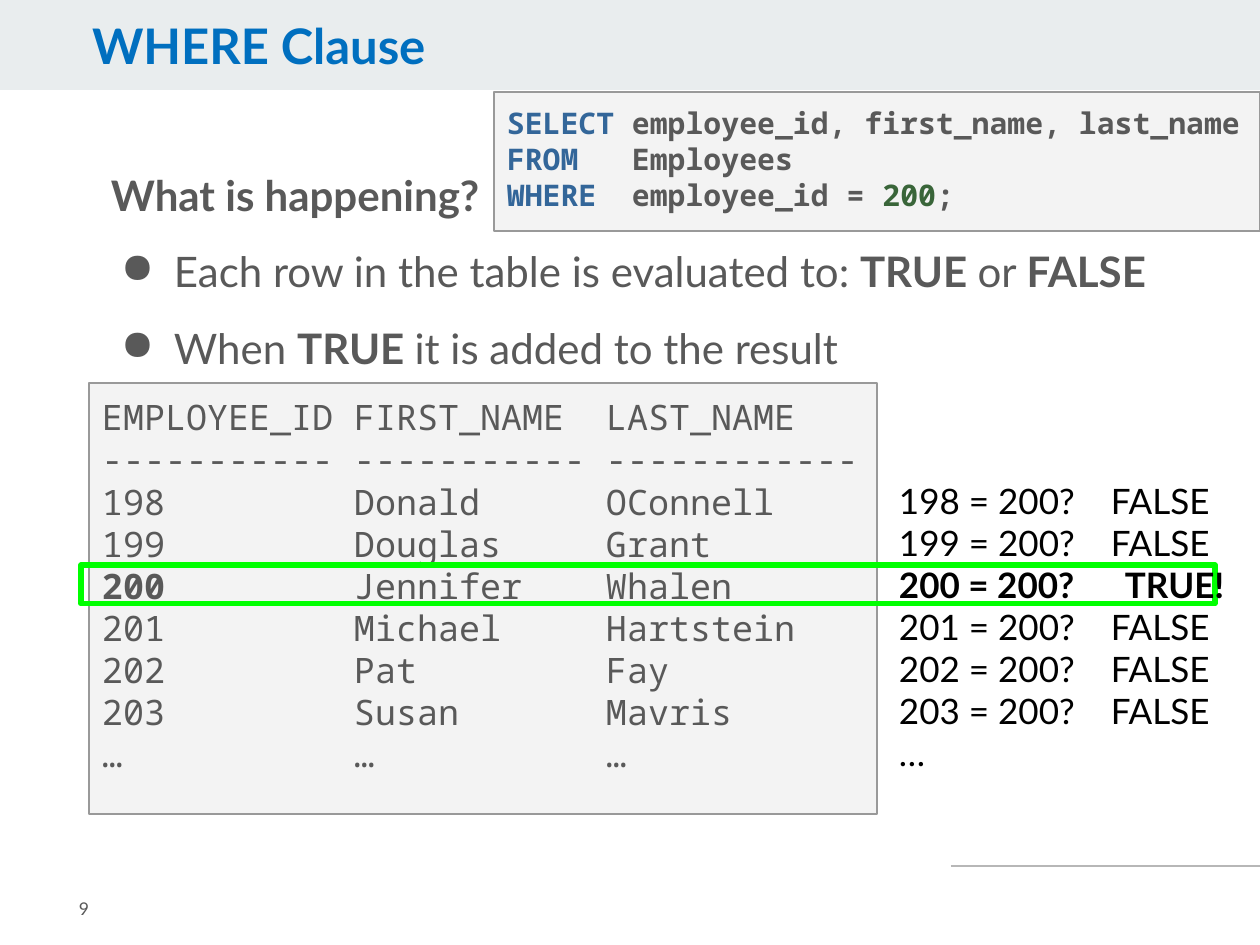
"""Build the WHERE Clause slide."""
from lxml.etree import SubElement
from pptx import Presentation
from pptx.dml.color import RGBColor
from pptx.enum.shapes import MSO_CONNECTOR, MSO_SHAPE
from pptx.enum.text import MSO_ANCHOR, PP_ALIGN
from pptx.oxml.ns import qn
from pptx.util import Inches, Pt

PX = 7257
COLORS = {
    "band": "E9EDEE", "title": "006FBF", "text": "595959", "panel": "F3F3F3",
    "border": "999999", "rule": "B7B7B7", "match": "00FF00", "black": "000000",
    "keyword": "336699", "number": "396539",
}
SANS, MONO = "Lato", "Noto Sans Mono"


def add_box(left, top, width, height, fill=None, line=None, weight=0.75, inset=13):
    box = page.shapes.add_shape(
        MSO_SHAPE.RECTANGLE, left * PX, top * PX, width * PX, height * PX)
    box.shadow.inherit = False
    if fill:
        box.fill.solid()
        box.fill.fore_color.rgb = RGBColor.from_string(COLORS[fill])
    else:
        box.fill.background()
    if line:
        box.line.color.rgb = RGBColor.from_string(COLORS[line])
        box.line.width = Pt(weight)
    else:
        box.line.fill.background()
    frame = box.text_frame
    frame.word_wrap = True
    frame.vertical_anchor = MSO_ANCHOR.TOP
    frame.margin_left = frame.margin_right = 13 * PX
    frame.margin_top = frame.margin_bottom = inset * PX
    return frame


def add_line(frame, *parts, font=SANS, size=20, color="text", bold=False,
             stops=(), bullet=None, before=0, after=0, spacing=None):
    """Add a paragraph; a part is text, or text with its own color and weight."""
    para = frame.paragraphs[0]
    if para.runs:
        para = frame.add_paragraph()
    para.alignment = PP_ALIGN.LEFT
    properties = para._p.get_or_add_pPr()
    if bullet:
        properties.set("marL", str(63 * PX))
        properties.set("indent", str(-53 * PX))
        bullet_color = SubElement(properties, qn("a:buClr"))
        SubElement(bullet_color, qn("a:srgbClr"), val=COLORS[color])
        SubElement(properties, qn("a:buChar"), char=bullet)
    if stops:
        tabs = SubElement(properties, qn("a:tabLst"))
        for stop in stops:
            SubElement(tabs, qn("a:tab"), pos=str(stop * PX), algn="l")
    para.space_before, para.space_after = Pt(before), Pt(after)
    if spacing:
        para.line_spacing = spacing
    for part in parts:
        text, tint, strong = (part, color, bold) if isinstance(part, str) else part
        span = para.add_run()
        span.text = text
        span.font.name, span.font.size, span.font.bold = font, Pt(size), strong
        span.font.color.rgb = RGBColor.from_string(COLORS[tint])


deck = Presentation()
deck.slide_width, deck.slide_height = Inches(10), Inches(7.5)
page = deck.slides.add_slide(deck.slide_layouts[6])

rule = page.shapes.add_connector(
    MSO_CONNECTOR.STRAIGHT, 951 * PX, 866 * PX, 1260 * PX, 866 * PX)
rule.line.color.rgb = RGBColor.from_string(COLORS["rule"])
rule.line.width = Pt(0.75)
SubElement(rule._element.spPr, qn("a:effectLst"))

add_box(0, 0, 1260, 90, fill="band")
title = add_box(79, 16, 993, 69, inset=6)
add_line(title, "WHERE Clause", size=28, color="title", bold=True, spacing=0.9)
number = add_box(66, 873, 155, 72)
number.vertical_anchor = MSO_ANCHOR.MIDDLE
add_line(number, "9", size=10)

employees = [
    ("198", "Donald", "OConnell"),
    ("199", "Douglas", "Grant"),
    ("200", "Jennifer", "Whalen"),
    ("201", "Michael", "Hartstein"),
    ("202", "Pat", "Fay"),
    ("203", "Susan", "Mavris"),
]
header = [("EMPLOYEE_ID", "FIRST_NAME", "LAST_NAME"), ("-" * 11, "-" * 11, "-" * 12)]
table = add_box(89, 383, 788, 431, fill="panel", line="border")
for key, first, last in header + employees + [("…", "…", "…")]:
    add_line(table, (key, "text", key == "200"), f"\t{first}\t{last}",
             font=MONO, stops=(252, 504), spacing=Pt(24))

points = add_box(98, 163, 1071, 223, inset=6)
add_line(points, "What is happening?", size=24, bold=True)
add_line(points, "Each row in the table is evaluated to: ", ("TRUE ", "text", True),
         "or ", ("FALSE", "text", True), size=24, bullet="●", before=15)
add_line(points, "When ", ("TRUE ", "text", True), "it is added to the result",
         size=24, bullet="●", before=15, after=15)

add_box(81, 565, 1134, 39, line="match", weight=3)

checks = add_box(886, 466, 372, 348)
for key, first, last in employees:
    match = key == "200"
    add_line(checks, f"{key} = 200?\t{'TRUE!' if match else 'FALSE'}",
             color="black", bold=match, stops=(226 if match else 212,))
add_line(checks, "…", color="black")

query = add_box(494, 92, 766, 139, fill="panel", line="border")
for keyword, *rest in [
    ("SELECT", "employee_id, first_name, last_name"),
    ("FROM", "Employees"),
    ("WHERE", "employee_id = ", ("200", "number", True), ";"),
]:
    add_line(query, (f"{keyword}\t", "keyword", True), *rest, font=MONO, size=17,
             bold=True, stops=(125,), spacing=Pt(20.5))

deck.save("out.pptx")
